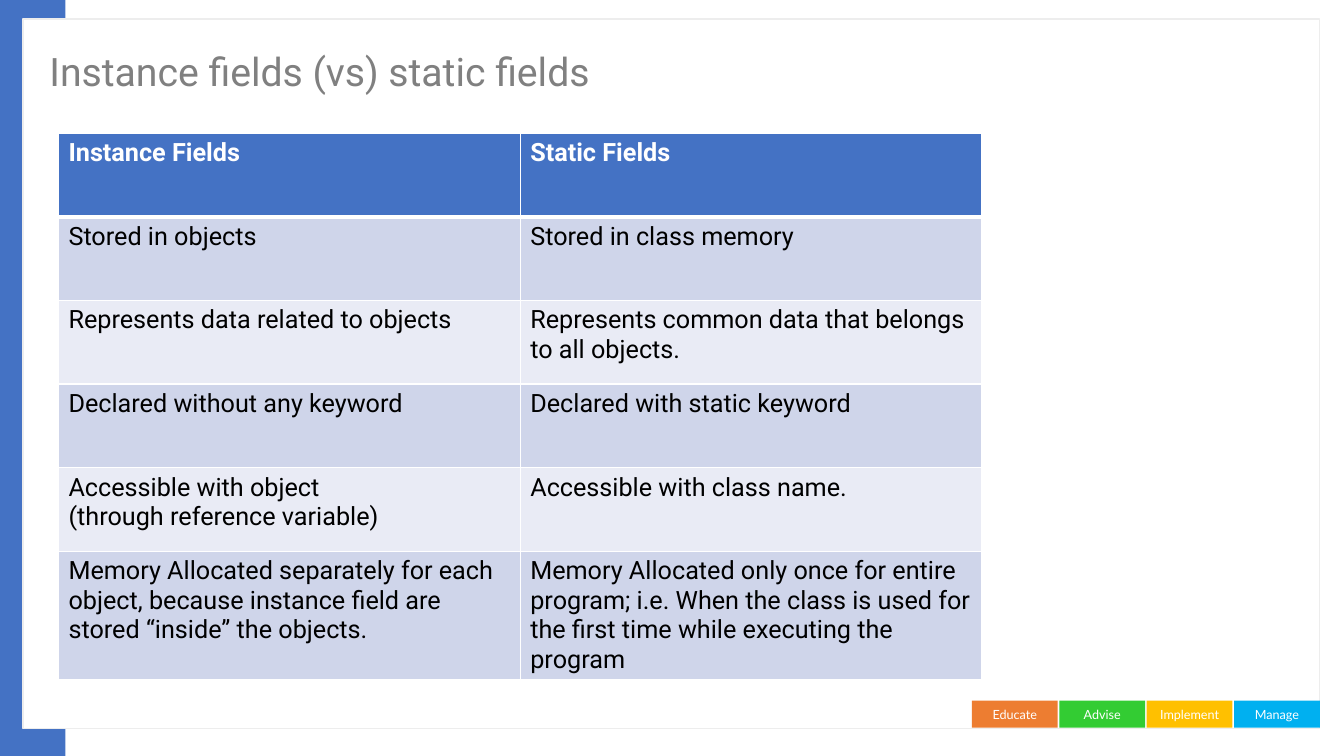
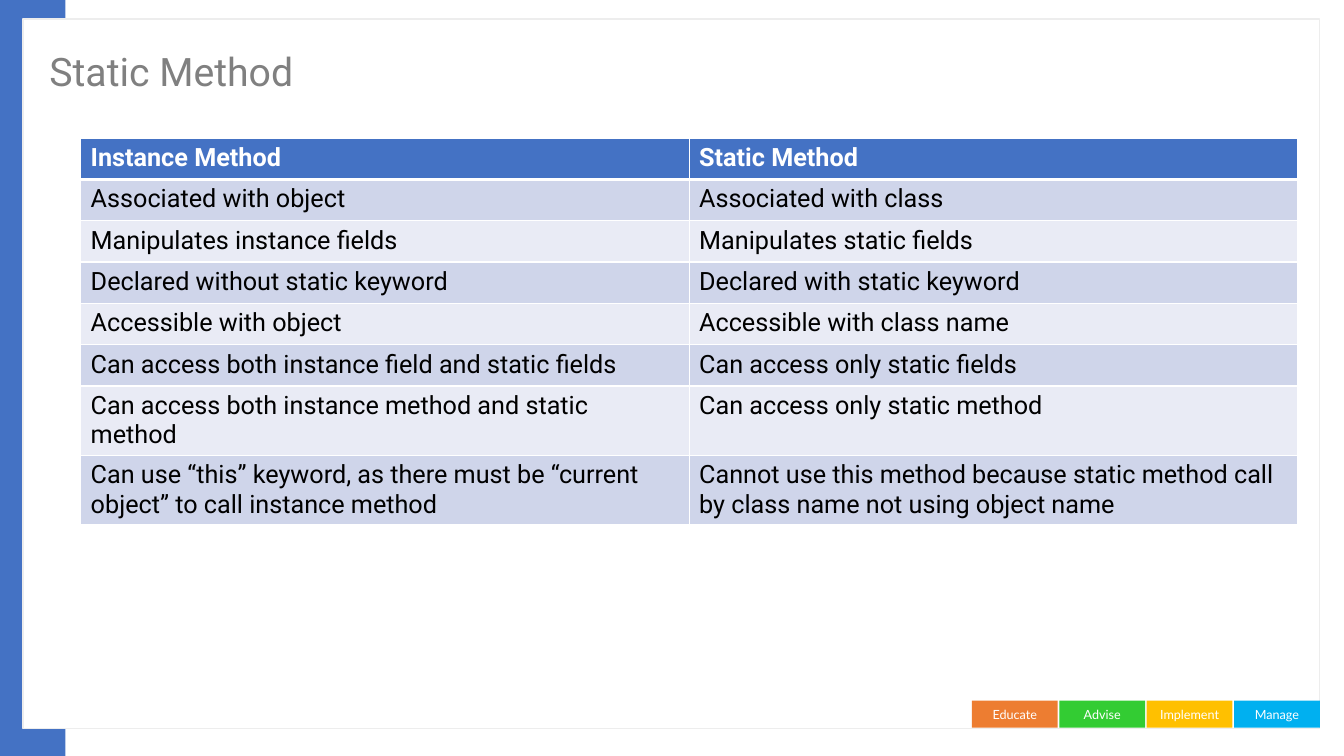
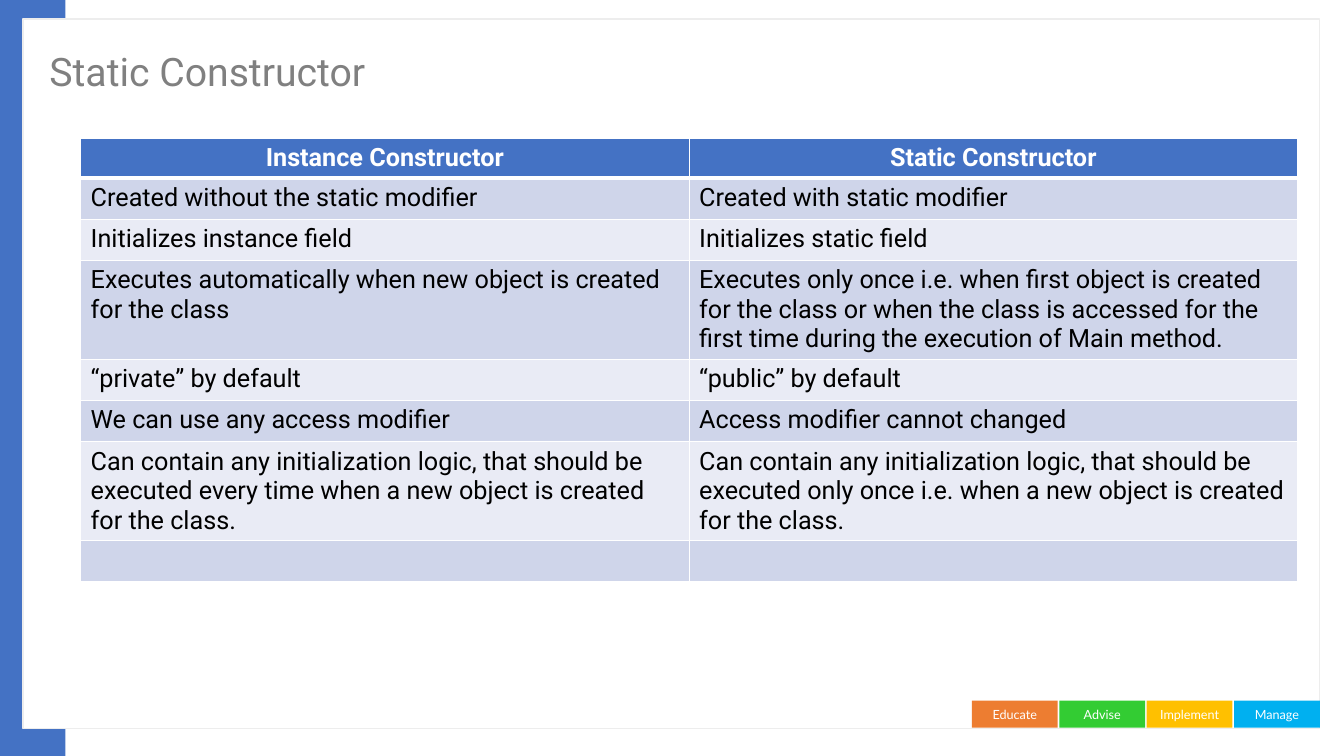
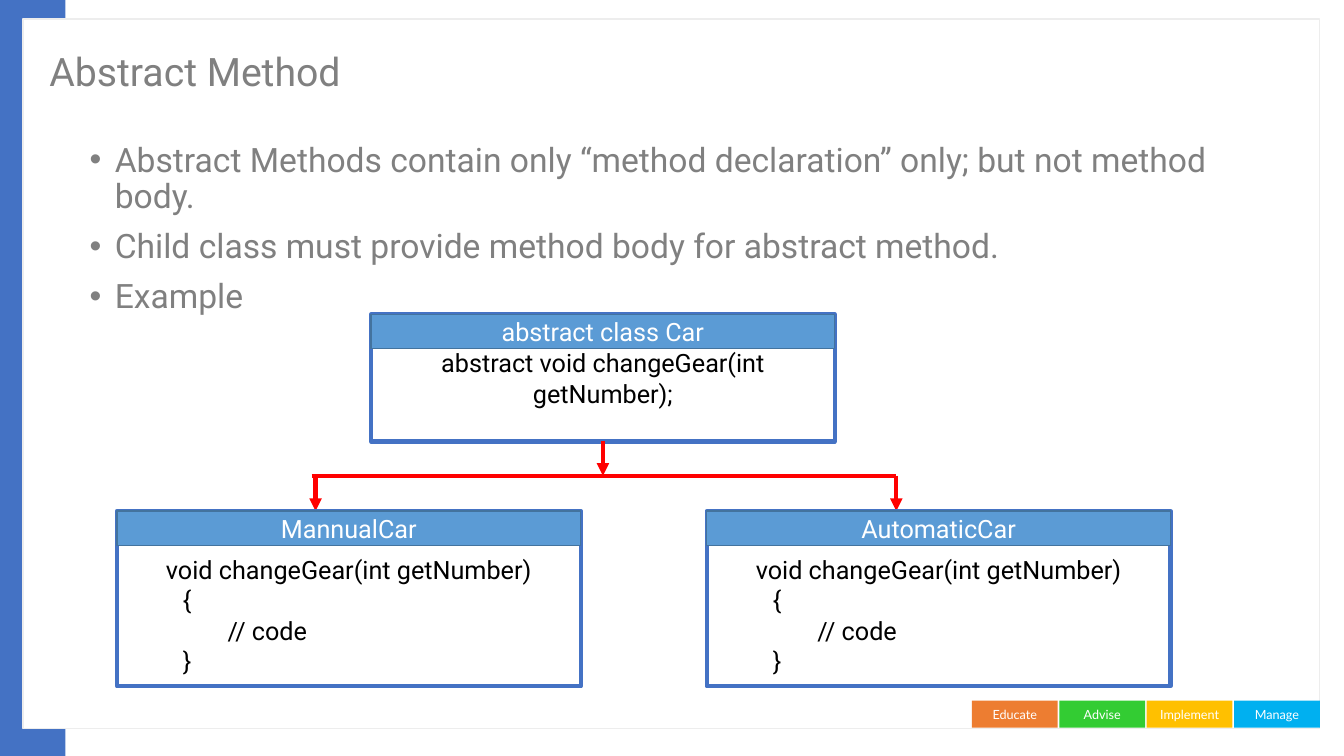
from dataclasses import dataclass
from typing import Any

from lxml.etree import SubElement
from pptx import Presentation
from pptx.dml.color import RGBColor
from pptx.enum.shapes import MSO_CONNECTOR, MSO_SHAPE
from pptx.enum.text import MSO_ANCHOR, PP_ALIGN
from pptx.oxml.ns import qn
from pptx.util import Inches, Pt

BLUE = RGBColor(0x44, 0x72, 0xC4)
SKY = RGBColor(0x5B, 0x9B, 0xD5)
STEEL = RGBColor(0x43, 0x73, 0x9E)
CYAN = RGBColor(0x00, 0xB0, 0xF0)
AMBER = RGBColor(0xFF, 0xC0, 0x00)
GREEN = RGBColor(0x33, 0xCC, 0x33)
ORANGE = RGBColor(0xED, 0x7D, 0x31)
RED = RGBColor(0xFF, 0x00, 0x00)
GREY = RGBColor(0x80, 0x80, 0x80)
SILVER = RGBColor(0xED, 0xED, 0xED)
BAND_DARK = RGBColor(0xCF, 0xD5, 0xEA)
BAND_LIGHT = RGBColor(0xE9, 0xEB, 0xF5)
WHITE = RGBColor(0xFF, 0xFF, 0xFF)
BLACK = RGBColor(0x00, 0x00, 0x00)

TITLE = {"name": "Roboto", "size": Pt(28), "bold": False}
BULLET = {"name": "Roboto", "size": Pt(24)}
BODY = {"name": "Roboto", "size": Pt(18), "bold": False}
HEADER = {**BODY, "bold": True}
BADGE = {"name": "Lato", "size": Pt(9)}

CLASS_W, HEAD_H = 4.6, 0.34
TRUNK_Y = 4.72


@dataclass
class Box:
    left: float
    top: float
    width: float
    height: float

    def emu(self) -> list[int]:
        return [Inches(v) for v in (self.left, self.top, self.width, self.height)]


@dataclass
class Badge:
    text: str
    color: RGBColor


@dataclass
class Comparison:
    title: str
    box: Box
    row_heights: list[float]
    rows: list[tuple[str, str]]
    header_align: PP_ALIGN = PP_ALIGN.LEFT


@dataclass
class ClassBox:
    name: str
    box: Box
    code: list[str]
    align: PP_ALIGN
    top_inset: float = 0.05


BADGES = [
    Badge("Educate", ORANGE),
    Badge("Advise", GREEN),
    Badge("Implement", AMBER),
    Badge("Manage", CYAN),
]

COMPARISONS = [
    Comparison("Instance fields (vs) static fields", Box(0.58, 1.32, 9.16, 4.98), [0.83] * 6, [
        ("Instance Fields", "Static Fields"),
        ("Stored in objects", "Stored in class memory"),
        ("Represents data related to objects",
         "Represents common data that belongs to all objects."),
        ("Declared without any keyword", "Declared with static keyword"),
        ("Accessible with object\n(through reference variable)", "Accessible with class name."),
        ("Memory Allocated separately for each object, because instance field are "
         "stored “inside” the objects.",
         "Memory Allocated only once for entire program; i.e. When the class is used "
         "for the first time while executing the program"),
    ]),
    Comparison("Static Method", Box(0.8, 1.37, 12.07, 3.28), [0.41] * 8, [
        ("Instance Method", "Static Method"),
        ("Associated with object", "Associated with class"),
        ("Manipulates instance fields", "Manipulates static fields"),
        ("Declared without static keyword", "Declared with static keyword"),
        ("Accessible with object", "Accessible with class name"),
        ("Can access both instance field and static fields", "Can access only static fields"),
        ("Can access both instance method and static method", "Can access only static method"),
        ("Can use “this” keyword, as there must be “current object” to call instance method",
         "Cannot use this method because static method call by class name not using object name"),
    ]),
    Comparison("Static Constructor", Box(0.8, 1.37, 12.07, 3.15), [0.28] + [0.41] * 7, [
        ("Instance Constructor", "Static Constructor"),
        ("Created without the static modifier", "Created with static modifier"),
        ("Initializes instance field", "Initializes static field"),
        ("Executes automatically when new object is created for the class",
         "Executes only once i.e. when first object is created for the class or when the class "
         "is accessed for the first time during the execution of Main method."),
        ("“private” by default", "“public” by default"),
        ("We can use any access modifier", "Access modifier cannot changed"),
        ("Can contain any initialization logic, that should be executed every time when "
         "a new object is created for the class.",
         "Can contain any initialization logic, that should be executed only once i.e. when "
         "a new object is created for the class."),
        ("", ""),
    ], PP_ALIGN.CENTER),
]

BULLETS = [
    "Abstract Methods contain only “method declaration” only; but not method body.",
    "Child class must provide method body for abstract method.",
    "Example",
]

GEAR_CODE = ["void changeGear(int getNumber)", "         {", "\t\t// code", "         }"]
PARENT = ClassBox("abstract class Car", Box(3.68, 3.12, CLASS_W, 1.26),
                  ["abstract void changeGear(int getNumber);"], PP_ALIGN.CENTER)
CHILDREN = [
    ClassBox(name, Box(left, 5.07, CLASS_W, 1.74), GEAR_CODE, PP_ALIGN.LEFT, 0.37)
    for name, left in (("MannualCar", 1.16), ("AutomaticCar", 7.01))
]


def format_text(p: Any, fmt: dict[str, Any], color: RGBColor, **layout: Any) -> None:
    for key, value in layout.items():
        setattr(p, key, value)
    for r in p.runs:
        for key, value in fmt.items():
            setattr(r.font, key, value)
        r.font.color.rgb = color


def add_rect(s: Any, box: Box, fill: RGBColor, line: RGBColor | None = None,
             weight: float = 1) -> Any:
    sp = s.shapes.add_shape(MSO_SHAPE.RECTANGLE, *box.emu())
    sp.shadow.inherit = False
    sp.fill.solid()
    sp.fill.fore_color.rgb = fill
    if line is None:
        sp.line.fill.background()
    else:
        sp.line.color.rgb = line
        sp.line.width = Pt(weight)
    return sp


def add_label(sp: Any, text: str, fmt: dict[str, Any]) -> None:
    tf = sp.text_frame
    tf.word_wrap = True
    tf.vertical_anchor = MSO_ANCHOR.MIDDLE
    tf.text = text
    format_text(tf.paragraphs[0], fmt, WHITE, alignment=PP_ALIGN.CENTER)


def build_layout(s: Any) -> None:
    parts = [
        add_rect(s, Box(0, 0, 0.65, 7.5), BLUE),
        add_rect(s, Box(0.23, 0.19, 12.86, 7.04), WHITE, SILVER),
    ]
    first, last = 9.64, 12.24
    pitch = (last - first) / (len(BADGES) - 1)
    for i, badge in enumerate(BADGES):
        sp = add_rect(s, Box(first + i * pitch, 6.95, 0.85, 0.27), badge.color)
        add_label(sp, badge.text, BADGE)
        parts.append(sp)
    tree = s.slide_layout.shapes.element
    for i, sp in enumerate(parts):
        tree.insert(2 + i, sp.element)


def add_title(s: Any, text: str) -> None:
    sp = s.shapes.title
    sp.left, sp.top, sp.width, sp.height = Box(0.39, 0.3, 10.32, 0.87).emu()
    tf = sp.text_frame
    tf.vertical_anchor = MSO_ANCHOR.MIDDLE
    tf.text = text
    format_text(tf.paragraphs[0], TITLE, GREY, alignment=PP_ALIGN.LEFT, line_spacing=0.9)


def add_borders(cell: Any, weights: dict[str, float]) -> None:
    tc_pr = cell._tc.get_or_add_tcPr()
    for side, weight in weights.items():
        ln = SubElement(tc_pr, qn(f"a:ln{side}"), w=str(Pt(weight)))
        SubElement(SubElement(ln, qn("a:solidFill")), qn("a:srgbClr"), val=str(WHITE))


def add_comparison(s: Any, comparison: Comparison) -> None:
    add_title(s, comparison.title)
    table = s.shapes.add_table(len(comparison.rows), 2, *comparison.box.emu()).table
    for i, row in enumerate(comparison.rows):
        table.rows[i].height = Inches(comparison.row_heights[i])
        is_header = i == 0
        fill = BLUE if is_header else BAND_DARK if i % 2 else BAND_LIGHT
        for j, text in enumerate(row):
            cell = table.cell(i, j)
            add_borders(cell, {"L": 1, "R": 1, "T": 3 if i == 1 else 1, "B": 3 if is_header else 1})
            cell.fill.solid()
            cell.fill.fore_color.rgb = fill
            cell.text = text
            for p in cell.text_frame.paragraphs:
                format_text(p, HEADER if is_header else BODY, WHITE if is_header else BLACK,
                            alignment=comparison.header_align if is_header else PP_ALIGN.LEFT)


def add_bullets(s: Any, box: Box, lines: list[str]) -> None:
    tf = s.shapes.add_textbox(*box.emu()).text_frame
    tf.word_wrap = True
    tf.text = "\n".join(lines)
    for i, p in enumerate(tf.paragraphs):
        p_pr = p._p.get_or_add_pPr()
        p_pr.set("marL", str(Inches(0.25)))
        p_pr.set("indent", str(Inches(-0.25)))
        SubElement(p_pr, qn("a:buFont"), typeface="Arial")
        SubElement(p_pr, qn("a:buChar"), char="•")
        format_text(p, BULLET, GREY, line_spacing=0.9, space_before=Pt(10 if i else 0))


def add_class(s: Any, item: ClassBox) -> Any:
    sp = add_rect(s, item.box, WHITE, BLUE, 3)
    tf = sp.text_frame
    tf.word_wrap = True
    tf.vertical_anchor = MSO_ANCHOR.MIDDLE
    tf.margin_top = Inches(item.top_inset)
    tf.text = "\n".join(item.code)
    for i, p in enumerate(tf.paragraphs):
        format_text(p, BODY, BLACK, alignment=item.align if i else PP_ALIGN.CENTER)
    head = add_rect(s, Box(item.box.left, item.box.top, item.box.width, HEAD_H), SKY, STEEL)
    add_label(head, item.name, BODY)
    return sp


def add_line(s: Any, x1: float, y1: float, x2: float, y2: float, arrow: bool = True) -> Any:
    cn = s.shapes.add_connector(MSO_CONNECTOR.STRAIGHT, *map(Inches, (x1, y1, x2, y2)))
    cn.line.color.rgb = RED
    cn.line.width = Pt(3)
    if arrow:
        SubElement(cn.line._get_or_add_ln(), qn("a:tailEnd"), type="triangle")
    SubElement(cn._element.spPr, qn("a:effectLst"))
    return cn


def add_abstract_method(s: Any) -> None:
    add_title(s, "Abstract Method")
    add_bullets(s, Box(0.79, 1.37, 12.09, 5.46), BULLETS)
    parent = add_class(s, PARENT)
    stem_x = PARENT.box.left + CLASS_W / 2
    stem = add_line(s, stem_x, PARENT.box.top + PARENT.box.height, stem_x, TRUNK_Y)
    stem.begin_connect(parent, 2)
    add_line(s, 3.09, TRUNK_Y, 8.89, TRUNK_Y, arrow=False)
    for child, x in zip(CHILDREN, (3.13, 8.89)):
        add_line(s, x, TRUNK_Y, x, child.box.top)
        add_class(s, child)


def main() -> None:
    prs = Presentation()
    prs.slide_width, prs.slide_height = Inches(13.33), Inches(7.5)
    slides = [prs.slides.add_slide(prs.slide_layouts[5]) for _ in range(len(COMPARISONS) + 1)]
    build_layout(slides[0])
    for s, comparison in zip(slides, COMPARISONS):
        add_comparison(s, comparison)
    add_abstract_method(slides[-1])
    prs.save("out.pptx")


if __name__ == "__main__":
    main()
